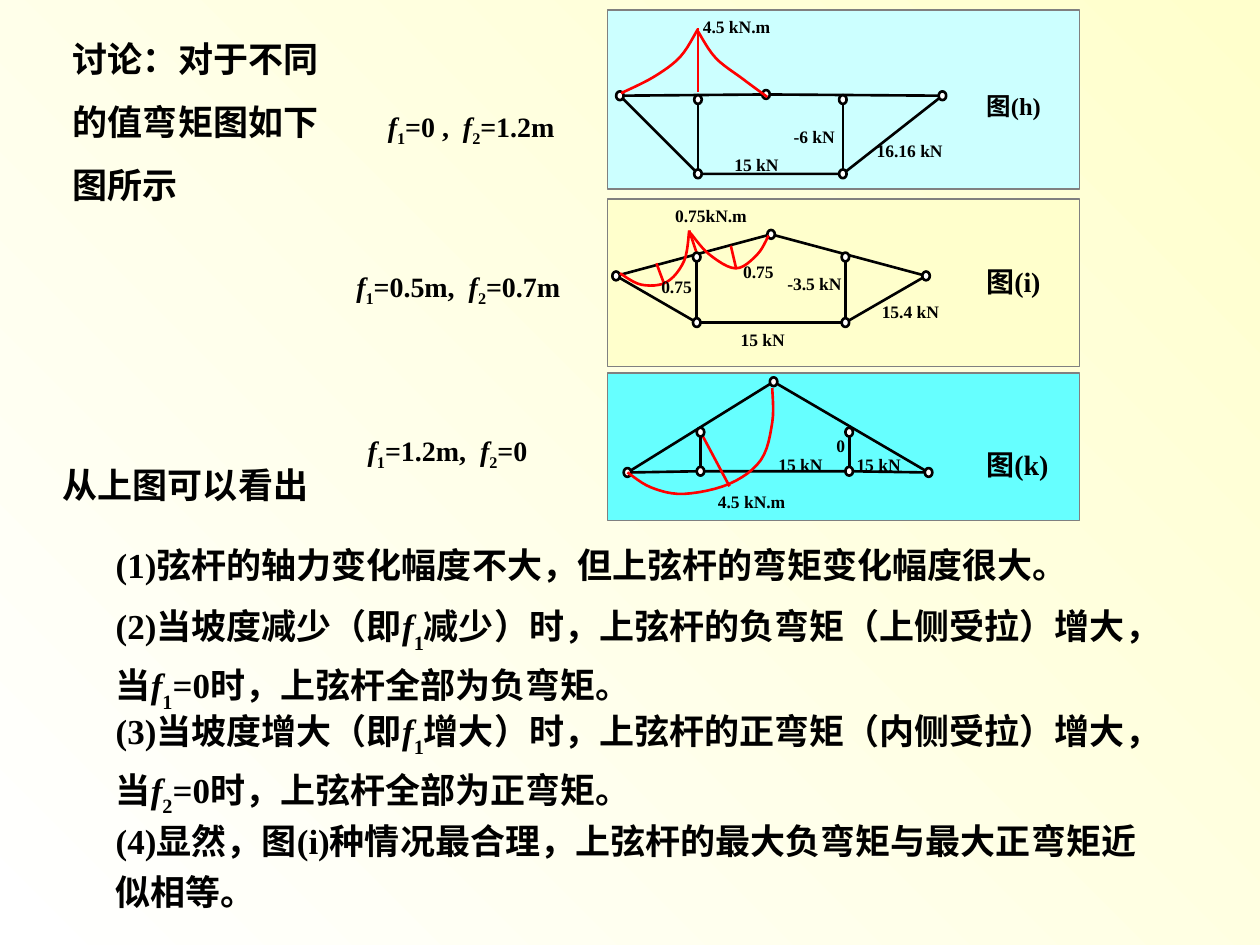
from pptx import Presentation
from pptx.dml.color import RGBColor as RGB
from pptx.enum.shapes import MSO_CONNECTOR as CONN, MSO_SHAPE as SHAPE
from pptx.enum.text import PP_ALIGN as ALIGN
from pptx.oxml.ns import qn
from pptx.util import Inches, Pt
from lxml import etree

COLORS = {"text": "000000", "member": "000000", "moment": "FF0000",
          "joint": "FFFFFF", "frame": "808080", "white": "FFFFFF",
          "cream": "FFFFCC", "h": "CCFFFF", "i": "FFFFCC", "k": "66FFFF"}
STEPS = 6


def add_text(shapes, text, box, size, spacing=1.0, align=ALIGN.JUSTIFY, sub=-25):
    """Add a text box; a piece between bars is an italic letter and its subscript."""
    tf = shapes.add_textbox(*map(Inches, box)).text_frame
    tf.word_wrap = True
    p = tf.paragraphs[0]
    p.alignment, p.line_spacing = align, spacing
    for n, piece in enumerate(text.split("|")):
        for part in (piece if n % 2 else [piece]):
            r = p.add_run()
            r.text = part
            font = {"name": "Times New Roman", "size": Pt(size), "bold": True,
                    "italic": n % 2 == 1 and part.isalpha()}
            for key, value in font.items():
                setattr(r.font, key, value)
            r.font.color.rgb = RGB.from_string(COLORS["text"])
            if n % 2 and part.isdigit():
                r._r.get_or_add_rPr().set("baseline", str(sub * 1000))


def add_path(shapes, points, color, closed=False):
    """Draw an unfilled outline through the points."""
    pts = [(Inches(x), Inches(y)) for x, y in points]
    fb = shapes.build_freeform(*pts[0])
    fb.add_line_segments(pts[1:], close=closed)
    sp = fb.convert_to_shape()
    sp.shadow.inherit = False
    sp.fill.background()
    sp.line.color.rgb = RGB.from_string(COLORS[color])
    sp.line.width = Pt(1.5)


prs = Presentation()
prs.slide_width, prs.slide_height = Inches(10), Inches(7.5)
s = prs.slides.add_slide(prs.slide_layouts[6])
bg = s.background.fill
bg.gradient()
bg.gradient_angle = 45
for stop, name in zip(bg.gradient_stops, ("white", "cream")):
    stop.color.rgb = RGB.from_string(COLORS[name])

# Discussion and conclusions
add_text(s.shapes, "讨论：对于不同的值弯矩图如下图所示", (0.48, 0.08, 2.31, 1.6), 20, 1.5, ALIGN.LEFT)
add_text(s.shapes, "从上图可以看出", (0.4, 3.67, 2.17, 0.4), 20, 0.9, ALIGN.LEFT)
for text, top, width, height, spacing in [
    ("(1)弦杆的轴力变化幅度不大，但上弦杆的弯矩变化幅度很大。", 4.3, 8.5, 0.4, 0.9),
    ("(2)当坡度减少（即|f1|减少）时，上弦杆的负弯矩（上侧受拉）增大，当|f1|=0时，上弦杆全部为负弯矩。",
     4.67, 8.75, 1.05, 1.2),
    ("(3)当坡度增大（即|f1|增大）时，上弦杆的正弯矩（内侧受拉）增大，当|f2|=0时，上弦杆全部为正弯矩。",
     5.5, 8.75, 1.05, 1.2),
    ("(4)显然，图(i)种情况最合理，上弦杆的最大负弯矩与最大正弯矩近似相等。", 6.39, 8.5, 0.9, 1.2),
]:
    add_text(s.shapes, text, (0.82, top, width, height), 20, spacing, ALIGN.LEFT, sub=-30)

# Each truss is set by its supports, apex and posts; curves list points to pass through
trusses = [
    {"name": "h", "top": 0.08, "height": 1.42, "title": (0.67, 0.67, 14),
     "case": ("|f1|=0 ,  |f2|=1.2m", 2.98, 0.67, 1.5),
     "span": (4.92, 7.48), "support": 0.76, "apex": (6.08, 0.75),
     "posts": (5.54, 6.69), "post_ends": (0.79, 1.38),
     "ordinates": [(5.54, 0.73, 5.54, 0.22)],
     "curves": [[(4.93, 0.74), (5.19, 0.61), (5.4, 0.45), (5.54, 0.23)],
                [(5.54, 0.25), (5.68, 0.46), (5.9, 0.63), (6.09, 0.77)]],
     "labels": [("4.5 kN.m", 5.48, 0.08), ("-6 kN", 6.2, 0.95),
                ("15 kN", 5.73, 1.17), ("16.16 kN", 6.86, 1.06)]},
    {"name": "i", "top": 1.58, "height": 1.33, "title": (2.05, 0.67, 16),
     "case": ("|f1|=0.5m,  |f2|=0.7m", 2.73, 2, 1.3),
     "span": (4.89, 7.35), "support": 2.19, "apex": (6.12, 1.86),
     "posts": (5.53, 6.71), "post_ends": (2.04, 2.56),
     "ordinates": [(5.47, 1.83, 5.53, 2.01), (5.8, 1.95, 5.84, 2.12), (5.21, 2.09, 5.27, 2.25)],
     "curves": [[(4.92, 2.17), (5.09, 2.26), (5.29, 2.24), (5.43, 2.07), (5.47, 1.83)],
                [(5.48, 1.85), (5.63, 2.02), (5.84, 2.13), (6.01, 2.02), (6.1, 1.87)]],
     "labels": [("0.75kN.m", 5.26, 1.58), ("0.75", 5.8, 2.02), ("0.75", 5.15, 2.14),
                ("15 kN", 5.78, 2.56), ("15.4 kN", 6.9, 2.34), ("-3.5 kN", 6.15, 2.12)]},
    {"name": "k", "top": 2.96, "height": 1.17, "title": (3.5, 0.75, 16),
     "case": ("|f1|=1.2m,  |f2|=0", 2.82, 3.33, 1.2),
     "span": (4.98, 7.37), "support": 3.75, "apex": (6.14, 3.03),
     "posts": (5.56, 6.74), "post_ends": (3.43, 3.74),
     "ordinates": [(5.55, 3.41, 5.79, 3.86)],
     "curves": [[(4.98, 3.75), (5.17, 3.87), (5.43, 3.92), (5.79, 3.84),
                 (6.04, 3.65), (6.13, 3.35), (6.13, 3.08)]],
     "labels": [("4.5 kN.m", 5.6, 3.85), ("15 kN", 6.08, 3.55),
                ("15 kN", 6.7, 3.55), ("0", 6.54, 3.4)]},
]

for truss in trusses:
    text, x, y, spacing = truss["case"]
    add_text(s.shapes, text, (x, y, 1.83, 0.42), 16, spacing)

    shapes = s.shapes.add_group_shape().shapes
    left, right = [(x, truss["support"]) for x in truss["span"]]
    posts = [[(x, y) for y in truss["post_ends"]] for x in truss["posts"]]
    (top_1, foot_1), (top_2, foot_2) = posts
    outline = [foot_1, left, truss["apex"], right, foot_2]

    frame = (SHAPE.RECTANGLE, (4.82, truss["top"], 3.75, truss["height"]),
             truss["name"], "frame", 0.75)
    joints = [(SHAPE.OVAL, (x - 0.03, y - 0.035, 0.06, 0.07), "joint", "member", 1.5)
              for x, y in outline + [top_1, top_2]]
    for kind, box, fill, line, width in [frame] + joints:
        sp = shapes.add_shape(kind, *map(Inches, box))
        sp.shadow.inherit = False
        sp.fill.solid()
        sp.fill.fore_color.rgb = RGB.from_string(COLORS[fill])
        sp.line.color.rgb = RGB.from_string(COLORS[line])
        sp.line.width = Pt(width)
        if kind == SHAPE.RECTANGLE:  # members lie between the frame and the joints
            add_path(shapes, outline, "member", closed=True)
            bars = [("member", (*a, *b)) for a, b in posts]
            for color, ends in bars + [("moment", o) for o in truss["ordinates"]]:
                c = shapes.add_connector(CONN.STRAIGHT, *map(Inches, ends))
                c.line.color.rgb = RGB.from_string(COLORS[color])
                c.line.width = Pt(1.5)
                etree.SubElement(c._element.spPr, qn("a:effectLst"))

    # Moment curves as Catmull-Rom splines
    for curve in truss["curves"]:
        nodes = [curve[0], *curve, curve[-1]]
        points = [curve[0]]
        for a, b, c, d in zip(nodes, nodes[1:], nodes[2:], nodes[3:]):
            for t in (k / STEPS for k in range(1, STEPS + 1)):
                points.append([q + t / 2 * (r - p + t * (2 * p - 5 * q + 4 * r - w
                                                         + t * (3 * q - p - 3 * r + w)))
                               for p, q, r, w in zip(a, b, c, d)])
        add_path(shapes, points, "moment")

    for text, x, y in truss["labels"]:
        add_text(shapes, text, (x, y, 0.8, 0.29), 10)
    top, width, size = truss["title"]
    add_text(shapes, f"图({truss['name']})", (7.73, top, width, 0.36), size)

prs.save("out.pptx")
